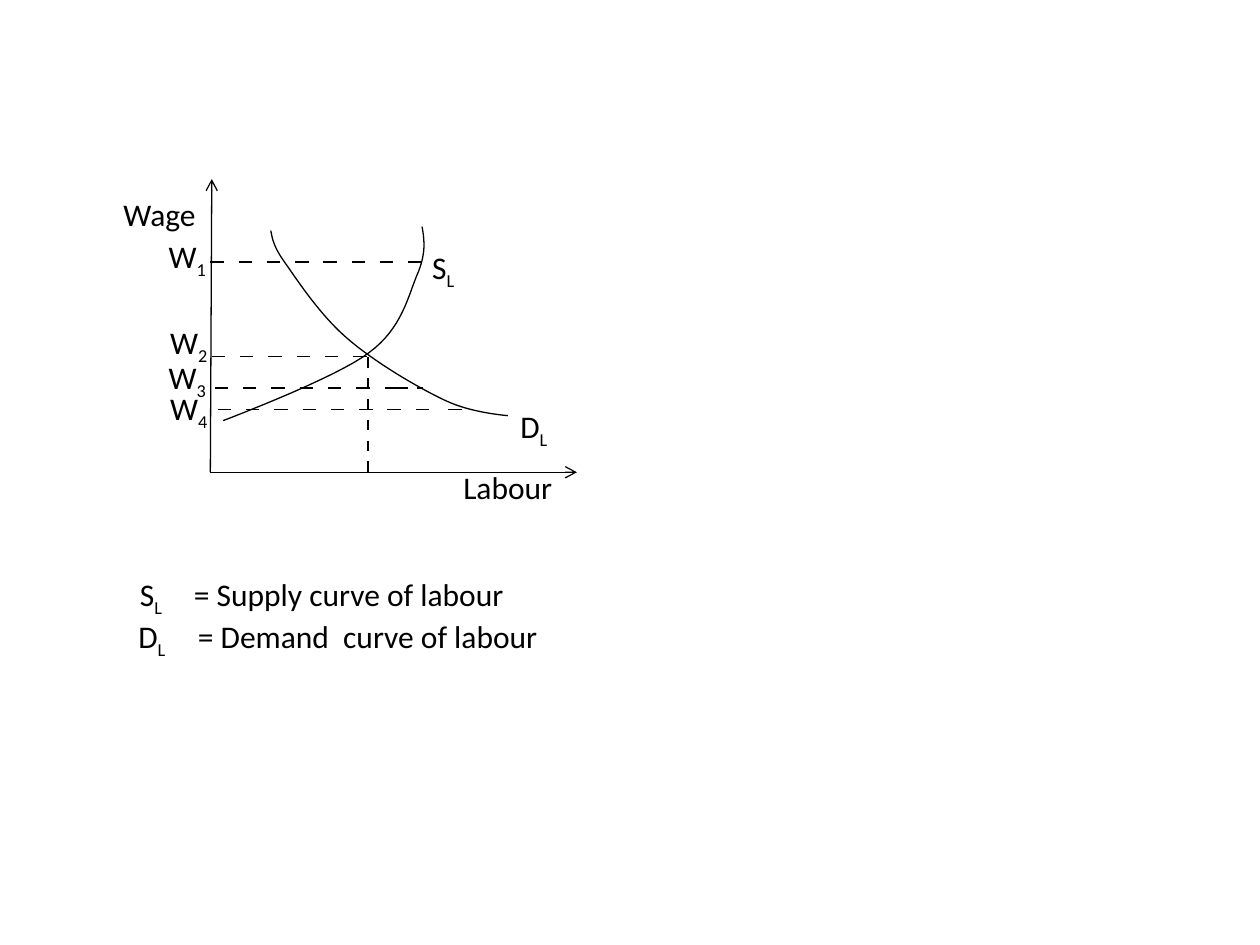
from dataclasses import dataclass

from pptx import Presentation, util as u
from pptx.dml.color import RGBColor
from pptx.enum import shapes, text
from pptx.oxml.ns import qn
from lxml import etree

INK = "000000"
FONT = "Calibri"
LINE_WIDTH = 0.75
STEPS = 16  # straight pieces per curve segment


@dataclass
class DashRow:
    x: float
    y: float
    count: int
    pitch: float = 0.57
    length: float = 0.27
    vertical: bool = False


@dataclass
class Label:
    x: float
    y: float
    width: float
    main: str
    sub: str = ""
    meaning: str = ""
    tab: float = 0


# All lengths in centimetres
ORIGIN = (4.24, 9.52)
AXIS_ENDS = [(4.27, 3.61), (11.63, 9.52)]

# Start point, then two control points and an end point per segment
DEMAND = [(5.46, 4.65),
          (5.49, 4.80), (5.51, 4.98), (5.77, 5.33),
          (6.02, 5.69), (6.48, 6.38), (7.01, 6.83),
          (7.54, 7.29), (8.43, 7.82), (8.99, 8.08),
          (9.52, 8.33), (10.24, 8.38), (10.24, 8.38)]
SUPPLY = [(8.51, 4.57),
          (8.56, 4.85), (8.59, 5.13), (8.41, 5.54),
          (8.23, 5.97), (8.10, 6.63), (7.44, 7.11),
          (6.78, 7.62), (4.50, 8.48), (4.50, 8.48)]

DASH_ROWS = [
    DashRow(4.24, 5.28, 8),
    DashRow(4.27, 7.19, 6),
    DashRow(4.33, 7.82, 6),
    DashRow(7.77, 7.82, 1, length=0.46),
    DashRow(8.41, 7.82, 1, length=0.12),
    DashRow(4.39, 8.26, 8),
    DashRow(9.04, 8.26, 1),
    DashRow(7.42, 7.2, 6, pitch=0.42, length=0.21, vertical=True),
]

LABELS = [
    Label(8.46, 4.88, 0.99, "S", "L"),
    Label(10.24, 8.08, 1.09, "D", "L"),
    Label(3.15, 4.65, 1.3, "W", "1"),
    Label(3.18, 6.38, 1.3, "W", "2"),
    Label(3.15, 7.09, 1.3, "W", "3"),
    Label(3.18, 7.72, 1.3, "W", "4"),
    Label(2.24, 3.81, 1.98, "Wage"),
    Label(9.09, 9.32, 2.34, "Labour"),
    Label(2.57, 11.46, 8.23, "S", "L", "= Supply curve of labour", 1.09),
    Label(2.54, 12.32, 8.86, "D", "L", "= Demand  curve of labour", 1.2),
]


def color(value: str) -> RGBColor:
    return RGBColor.from_string(value)


def style_line(line) -> None:
    line.color.rgb = color(INK)
    line.width = u.Pt(LINE_WIDTH)


def draw_line(page, start: tuple, end: tuple, arrow: bool = False) -> None:
    line = page.shapes.add_connector(
        shapes.MSO_CONNECTOR.STRAIGHT, *map(u.Cm, start + end))
    style_line(line.line)
    properties = line._element.spPr
    if arrow:
        etree.SubElement(properties.find(qn("a:ln")), qn("a:tailEnd"), type="arrow")
    etree.SubElement(properties, qn("a:effectLst"))


def draw_dashes(page, row: DashRow) -> None:
    for index in range(row.count):
        shift = index * row.pitch
        if row.vertical:
            start = (row.x, row.y + shift)
            end = (row.x, row.y + shift + row.length)
        else:
            start = (row.x + shift, row.y)
            end = (row.x + shift + row.length, row.y)
        draw_line(page, start, end)


def bezier(a: tuple, b: tuple, c: tuple, d: tuple, t: float) -> tuple:
    s = 1 - t
    return tuple(u.Cm(s**3 * p + 3 * s * s * t * q + 3 * s * t * t * r + t**3 * e)
                 for p, q, r, e in zip(a, b, c, d))


def draw_curve(page, points: list) -> None:
    builder = page.shapes.build_freeform(*map(u.Cm, points[0]))
    vertices = [bezier(*points[first:first + 4], step / STEPS)
                for first in range(0, len(points) - 1, 3)
                for step in range(1, STEPS + 1)]
    builder.add_line_segments(vertices, close=False)
    curve = builder.convert_to_shape()
    curve.fill.background()
    curve.shadow.inherit = False
    style_line(curve.line)


def add_span(para, words: str, subscript: bool = False) -> None:
    span = para.add_run()
    span.text = words
    span.font.name = FONT
    span.font.size = u.Pt(18)
    span.font.color.rgb = color(INK)
    if subscript:
        span.font._element.set("baseline", "-25000")


def draw_label(page, label: Label) -> None:
    box = page.shapes.add_textbox(
        *map(u.Cm, (label.x, label.y, label.width, 1.02)))
    frame = box.text_frame
    frame.word_wrap = bool(label.meaning)
    frame.auto_size = text.MSO_AUTO_SIZE.SHAPE_TO_FIT_TEXT
    para = frame.paragraphs[0]
    if label.tab:
        stops = etree.SubElement(para._p.get_or_add_pPr(), qn("a:tabLst"))
        etree.SubElement(stops, qn("a:tab"), pos=str(u.Cm(label.tab)), algn="l")
    add_span(para, label.main)
    if label.sub:
        add_span(para, label.sub, subscript=True)
    if label.meaning:
        add_span(para, "\t" + label.meaning)


def main() -> None:
    deck = Presentation()
    deck.slide_width, deck.slide_height = u.Cm(25.4), u.Cm(19.05)
    page = deck.slides.add_slide(deck.slide_layouts[6])

    # Axes
    for end in AXIS_ENDS:
        draw_line(page, ORIGIN, end, arrow=True)

    # Demand and supply curves
    for points in (DEMAND, SUPPLY):
        draw_curve(page, points)

    # Dashed wage levels and equilibrium
    for row in DASH_ROWS:
        draw_dashes(page, row)

    # Labels and legend
    for label in LABELS:
        draw_label(page, label)

    deck.save("out.pptx")


if __name__ == "__main__":
    main()
